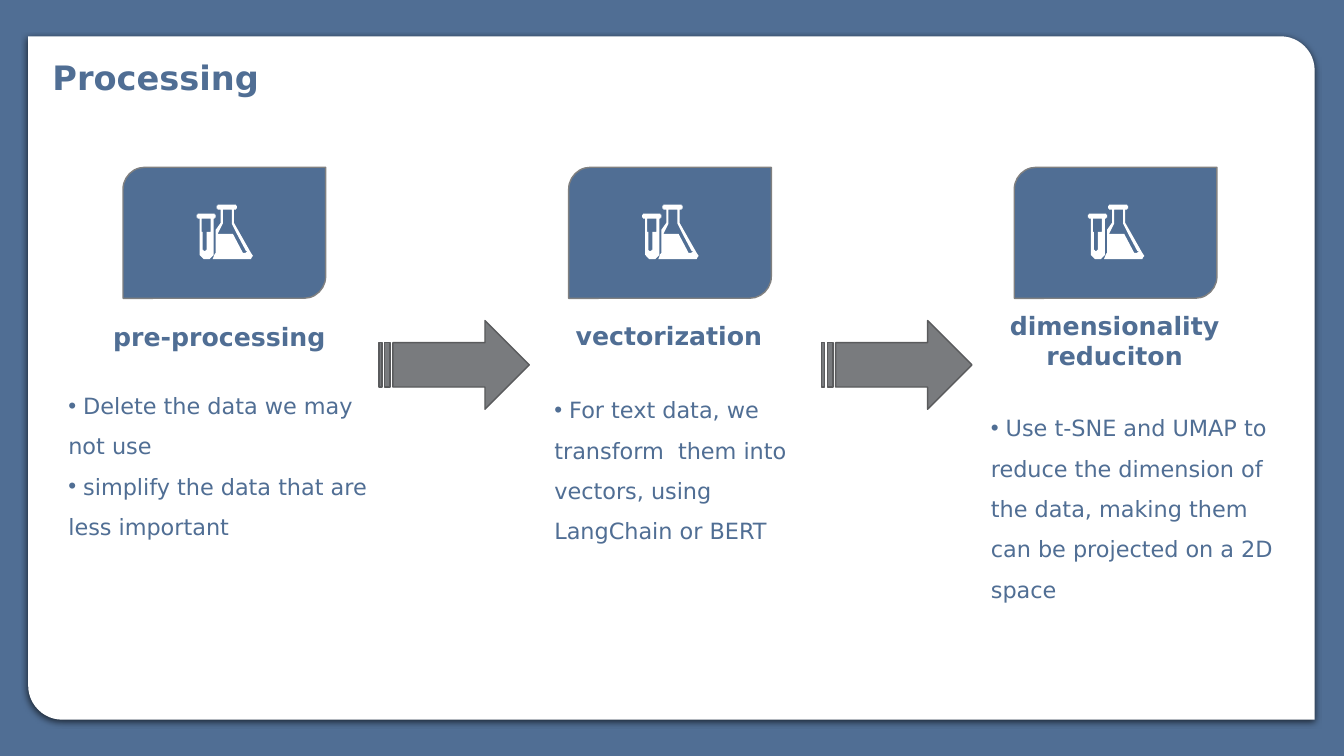
from dataclasses import dataclass

from lxml import etree
from pptx import Presentation
from pptx.dml.color import RGBColor
from pptx.enum.shapes import MSO_SHAPE as Preset
from pptx.enum.text import MSO_ANCHOR as Anchor, MSO_AUTO_SIZE as AutoSize, PP_ALIGN as Align
from pptx.oxml import parse_xml
from pptx.oxml.ns import nsdecls, qn
from pptx.util import Inches, Pt

FONT = "DejaVu Sans"
BLUE, WHITE = "506E94", "FFFFFF"
CARD_LEFT, CARD_TOP, CARD_PITCH = 1.22, 1.66, 4.42
CARD_WIDTH, CARD_HEIGHT = 2.01, 1.3
ARROW_LEFT, ARROW_PITCH = 3.76, 4.39

Box = tuple[float, float, float, float]
Corner = tuple[float, float, float]  # x, y, rounding; hundredths of an inch


@dataclass
class Step:
    heading: str
    heading_box: Box
    points: list[str]
    points_box: Box


STEPS = [
    Step("pre-processing", (0.85, 3.14, 2.65, 0.4),
         [" Delete the data we may not use",
          " simplify the data that are less important"],
         (0.58, 3.71, 3.3, 1.72)),
    Step("vectorization", (5.31, 3.13, 2.65, 0.4),
         [" For text data, we transform  them into vectors, using LangChain or BERT"],
         (5.4, 3.75, 2.65, 1.72)),
    Step("dimensionality reduciton", (9.73, 3.03, 2.65, 0.71),
         [" Use t-SNE and UMAP to reduce the dimension of the data, "
          "making them can be projected on a 2D space"],
         (9.73, 3.93, 3.06, 2.12)),
]

FLASK = [(20, 0, 2.5), (40, 0, 2.5), (40, 5, 2.5), (37, 5, 0), (37, 18, 0), (58, 54, 7),
         (16, 54, 0), (19, 47, 2), (19, 25, 0), (24, 18, 0), (24, 5, 0), (20, 5, 2.5)]
FLASK_HOLE = [(26, 5, 0), (35, 5, 0), (35, 19, 0), (40, 29, 0), (50, 47, 1.5),
              (47, 49, 1.5), (36, 29, 0), (21, 29, 0), (26, 19, 0)]
TUBE = [(0, 9, 2.5), (19, 9, 2.5), (19, 14, 2.5), (17, 14, 0), (17, 54, 7),
        (3, 54, 7), (3, 14, 0), (0, 14, 2.5)]
TUBE_HOLE = [(5, 14, 0), (14, 14, 0), (14, 27, 0), (10, 27, 0), (10, 46, 2),
             (6, 46, 2), (6, 27, 0), (5, 27, 0)]


def color(value: str) -> RGBColor:
    return RGBColor.from_string(value)


def paint(shape, fill: str, line: str | None = None) -> None:
    shape.shadow.inherit = False
    shape.fill.solid()
    shape.fill.fore_color.rgb = color(fill)
    if line:
        shape.line.color.rgb = color(line)
        shape.line.width = Pt(1)
    else:
        shape.line.fill.background()


def add_preset(slide, preset: Preset, box: Box, fill: str, line: str | None = None):
    shape = slide.shapes.add_shape(preset, *map(Inches, box))
    paint(shape, fill, line)
    return shape


def format_runs(frame, size: int, bold: bool) -> None:
    for paragraph in frame.paragraphs:
        for run in paragraph.runs:
            run.font.name = FONT
            run.font.size = Pt(size)
            run.font.bold = bold
            run.font.color.rgb = color(BLUE)


def add_text(slide, lines: list[str], box: Box, size: int, bold: bool = False):
    frame = slide.shapes.add_textbox(*map(Inches, box)).text_frame
    frame.word_wrap = True
    frame.text = "\n".join(lines)
    format_runs(frame, size, bold)
    return frame


def add_bullet(paragraph) -> None:
    paragraph.line_spacing = 1.5
    properties = paragraph._p.get_or_add_pPr()
    etree.SubElement(properties, qn("a:buFont")).set("typeface", "Arial")
    etree.SubElement(properties, qn("a:buChar")).set("char", "•")


def toward(start: Corner, end: Corner) -> tuple[float, float]:
    """Point on the edge where the rounding of the start corner meets it."""
    dx, dy = end[0] - start[0], end[1] - start[1]
    share = start[2] / (dx * dx + dy * dy) ** 0.5
    return start[0] + dx * share, start[1] + dy * share


def rounded(corners: list[Corner]) -> list[tuple[float, float]]:
    outline = []
    for i, corner in enumerate(corners):
        if not corner[2]:
            outline.append(corner[:2])
            continue
        first = toward(corner, corners[i - 1])
        last = toward(corner, corners[(i + 1) % len(corners)])
        for t in (0, 0.25, 0.5, 0.75, 1):
            outline.append(tuple(
                (1 - t) ** 2 * a + 2 * t * (1 - t) * c + t * t * b
                for a, c, b in zip(first, corner, last)))
    return outline


def add_lab_icon(slide, left: float, top: float) -> None:
    builder = None
    for contour in (FLASK, FLASK_HOLE, TUBE, TUBE_HOLE):
        outline = [(left * 100 + x, top * 100 + y) for x, y in rounded(contour)]
        if builder is None:
            builder = slide.shapes.build_freeform(*outline[0], scale=Inches(0.01))
        else:
            builder.move_to(*outline[0])
        builder.add_line_segments(outline[1:], close=True)
    paint(builder.convert_to_shape(), WHITE)


def add_panel(slide) -> None:
    panel = add_preset(slide, Preset.ROUND_2_DIAG_RECTANGLE, (0.28, 0.36, 12.76, 6.78), WHITE)
    panel.adjustments[0] = 0
    panel.adjustments[1] = 0.05
    effects = panel._element.spPr.find(qn("a:effectLst"))
    effects.append(parse_xml(
        f'<a:outerShdw {nsdecls("a")} blurRad="{Pt(4.5)}" dist="{Pt(1.5)}" dir="5400000" '
        'rotWithShape="0"><a:srgbClr val="000000"><a:alpha val="63000"/></a:srgbClr>'
        '</a:outerShdw>'))
    # The panel lies behind the title
    slide.shapes._spTree.insert(2, panel._element)


def add_title(slide, text: str) -> None:
    title = slide.shapes.title
    title.left, title.top, title.width, title.height = map(Inches, (0.42, 0.51, 5.66, 0.5))
    frame = title.text_frame
    frame.text = text
    frame.auto_size = AutoSize.NONE
    frame.vertical_anchor = Anchor.TOP
    frame.paragraphs[0].alignment = Align.LEFT
    format_runs(frame, 24, True)


def add_step(slide, index: int, step: Step) -> None:
    left = CARD_LEFT + index * CARD_PITCH
    add_preset(slide, Preset.ROUND_2_DIAG_RECTANGLE,
               (left, CARD_TOP, CARD_WIDTH, CARD_HEIGHT), BLUE, "808080")
    add_lab_icon(slide, left + 0.73, 2.03)
    heading = add_text(slide, [step.heading], step.heading_box, 18, bold=True)
    heading.paragraphs[0].alignment = Align.CENTER
    for paragraph in add_text(slide, step.points, step.points_box, 16).paragraphs:
        add_bullet(paragraph)


def main() -> None:
    deck = Presentation()
    deck.slide_width, deck.slide_height = Inches(13.33), Inches(7.5)
    slide = deck.slides.add_slide(deck.slide_layouts[5])
    slide.background.fill.solid()
    slide.background.fill.fore_color.rgb = color(BLUE)

    # Frame and title
    add_panel(slide)
    add_title(slide, "Processing")

    # Steps and the arrows between them
    for index, step in enumerate(STEPS):
        add_step(slide, index, step)
    for gap in range(len(STEPS) - 1):
        add_preset(slide, Preset.STRIPED_RIGHT_ARROW,
                   (ARROW_LEFT + gap * ARROW_PITCH, 3.18, 1.49, 0.88), "797B7E", "5A5B5D")

    deck.save("out.pptx")


if __name__ == "__main__":
    main()
